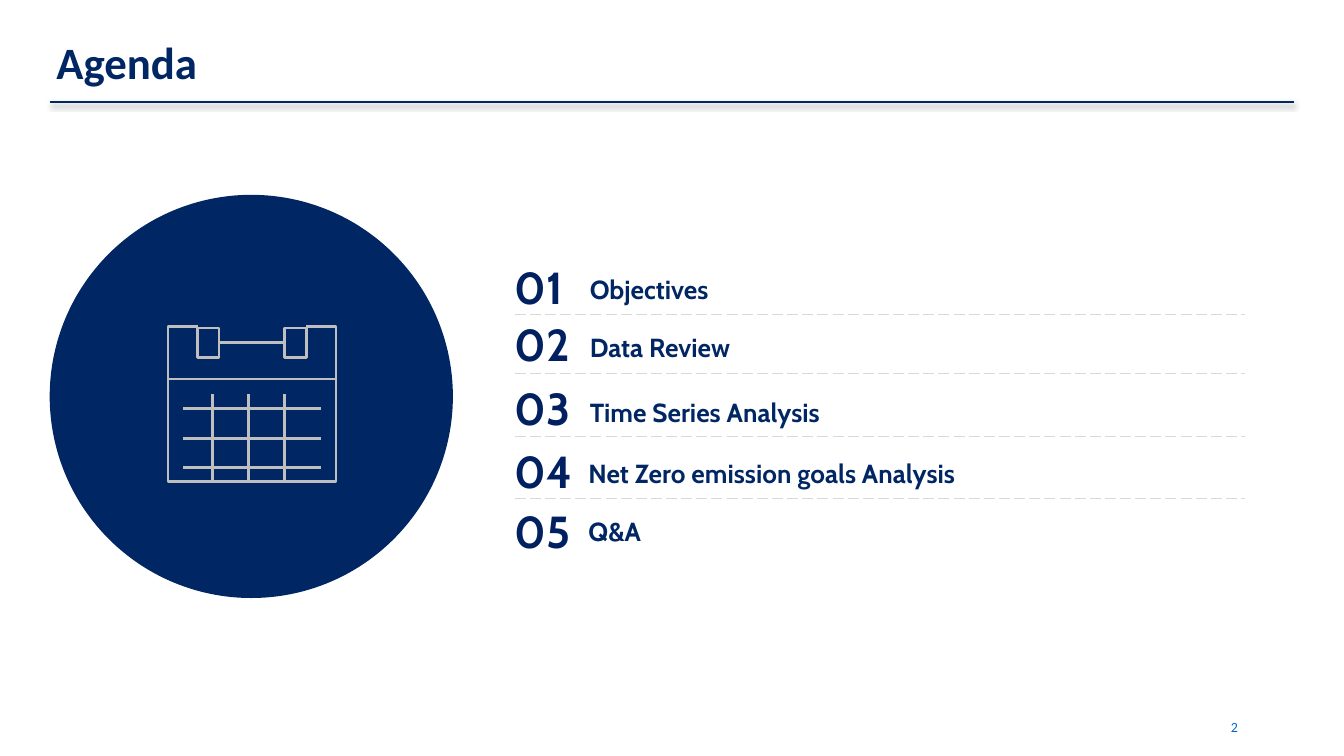
"""Build an agenda slide with a calendar icon and five numbered topics."""
from lxml import etree
from pptx import Presentation
from pptx import util as u
from pptx.dml.color import RGBColor
from pptx.enum import dml, shapes, text
from pptx.oxml import ns

NAVY = RGBColor(0x00, 0x26, 0x63)
DEEP_NAVY = RGBColor(0x00, 0x20, 0x60)
BLUE = RGBColor(0x00, 0x6A, 0xD2)
SILVER = RGBColor(0xBF, 0xBF, 0xBF)
PALE = RGBColor(0xD9, 0xD9, 0xD9)

WIDTH = 10
HEIGHT = WIDTH * 9 / 16
MARGIN = 0.37
TOPICS = [
    ("Objectives", 4.29, 1.93, 1.95),
    ("Data Review", 4.29, 2.36, 2.38),
    ("Time Series Analysis", 4.29, 2.84, 2.85),
    ("Net Zero emission goals Analysis", 4.28, 3.3, 3.32),
    ("Q&A", 4.28, 3.73, 3.77),
]
DIVIDERS = [2.34, 2.78, 3.25, 3.71]
LIST_LEFT, LIST_RIGHT, ROW_HEIGHT = 3.83, 9.26, 0.36

CALENDAR_LEFT, CALENDAR_RIGHT = 1.25, 2.5
CALENDAR_TOP, CALENDAR_BOTTOM = 2.43, 3.58
RINGS = [1.47, 2.12]
RING_WIDTH, RING_HEIGHT = 0.16, 0.22
GRID_COLUMNS = [1.58 + 0.27 * column for column in range(3)]
GRID_ROWS = [3.04 + 0.22 * row for row in range(3)]


def add_text(slide, words, box, size, color, font="Cabin", bold=True, inset=False,
             spacing=None, align=None, anchor=text.MSO_ANCHOR.MIDDLE):
    shape = slide.shapes.add_textbox(*map(u.Inches, box))
    frame = shape.text_frame
    frame.word_wrap = True
    frame.vertical_anchor = anchor
    if not inset:
        frame.margin_left = frame.margin_right = 0
        frame.margin_top = frame.margin_bottom = 0
    paragraph = frame.paragraphs[0]
    paragraph.alignment = align
    paragraph.line_spacing = spacing
    run = paragraph.add_run()
    run.text = words
    run.font.name, run.font.size, run.font.bold = font, u.Pt(size), bold
    run.font.color.rgb = color


def add_line(container, start, end, color, width):
    line = container.shapes.add_connector(
        shapes.MSO_CONNECTOR.STRAIGHT, *map(u.Inches, (*start, *end)))
    line.line.color.rgb = color
    line.line.width = u.Pt(width)
    etree.SubElement(line._element.spPr, ns.qn("a:effectLst"))
    return line


def add_header(slide):
    rule = add_line(slide, (MARGIN, 0.76), (WIDTH - MARGIN, 0.76), NAVY, 0.75)
    effects = rule._element.spPr.find(ns.qn("a:effectLst"))
    shadow = etree.SubElement(
        effects, ns.qn("a:outerShdw"), blurRad=str(u.Pt(3.1)), dist=str(u.Pt(1.6)),
        dir="5400000", rotWithShape="0")
    color = etree.SubElement(shadow, ns.qn("a:srgbClr"), val="000000")
    etree.SubElement(color, ns.qn("a:alpha"), val="38000")
    add_text(slide, "Agenda", (0.42, 0.33, 9, 0.53), 24, NAVY, "Calibri",
             spacing=0.82, anchor=text.MSO_ANCHOR.TOP)


def add_topics(slide):
    for number, (topic, left, top, number_top) in enumerate(TOPICS, 1):
        add_text(slide, f"{number:02}", (LIST_LEFT, number_top, 0.48, ROW_HEIGHT),
                 24, DEEP_NAVY)
        add_text(slide, topic, (left, top, 5, ROW_HEIGHT), 14, NAVY,
                 inset=True, spacing=u.Pt(23))
    for y in DIVIDERS:
        divider = add_line(slide, (LIST_LEFT, y), (LIST_RIGHT, y), PALE, 0.75)
        divider.line.dash_style = dml.MSO_LINE.LONG_DASH


def outline(shape):
    shape.shadow.inherit = False
    shape.fill.background()
    shape.line.color.rgb = SILVER
    shape.line.width = u.Pt(1.5)


def add_calendar(slide):
    circle = slide.shapes.add_shape(
        shapes.MSO_SHAPE.OVAL, *map(u.Inches, (MARGIN, 1.45, 3, 3)))
    circle.shadow.inherit = False
    circle.fill.solid()
    circle.fill.fore_color.rgb = NAVY
    circle.line.fill.background()

    calendar = slide.shapes.add_group_shape()
    first_ring, last_ring = RINGS
    builder = calendar.shapes.build_freeform(
        u.Inches(first_ring), u.Inches(CALENDAR_TOP))
    corners = [
        (CALENDAR_LEFT, CALENDAR_TOP), (CALENDAR_LEFT, CALENDAR_BOTTOM),
        (CALENDAR_RIGHT, CALENDAR_BOTTOM), (CALENDAR_RIGHT, CALENDAR_TOP),
        (last_ring + RING_WIDTH, CALENDAR_TOP),
    ]
    builder.add_line_segments(
        [(u.Inches(x), u.Inches(y)) for x, y in corners], close=False)
    outline(builder.convert_to_shape())
    for left in RINGS:
        outline(calendar.shapes.add_shape(
            shapes.MSO_SHAPE.RECTANGLE,
            *map(u.Inches, (left, 2.44, RING_WIDTH, RING_HEIGHT))))

    strokes = [
        ((first_ring + RING_WIDTH, 2.55), (last_ring, 2.55)),
        ((CALENDAR_LEFT, 2.82), (CALENDAR_RIGHT, 2.82)),
        *(((x, 2.93), (x, 3.59)) for x in GRID_COLUMNS),
        *(((1.36, y), (2.39, y)) for y in GRID_ROWS),
    ]
    for start, end in strokes:
        add_line(calendar, start, end, SILVER, 1.5)


def main():
    presentation = Presentation()
    presentation.slide_width = u.Inches(WIDTH)
    presentation.slide_height = u.Inches(HEIGHT)
    slide = presentation.slides.add_slide(presentation.slide_layouts[6])
    add_header(slide)
    add_calendar(slide)
    add_topics(slide)
    add_text(slide, "2", (8.45, 5.28, 0.86, 0.25), 7.5, BLUE, "Calibri",
             bold=False, inset=True, align=text.PP_ALIGN.RIGHT)
    presentation.save("out.pptx")


if __name__ == "__main__":
    main()
